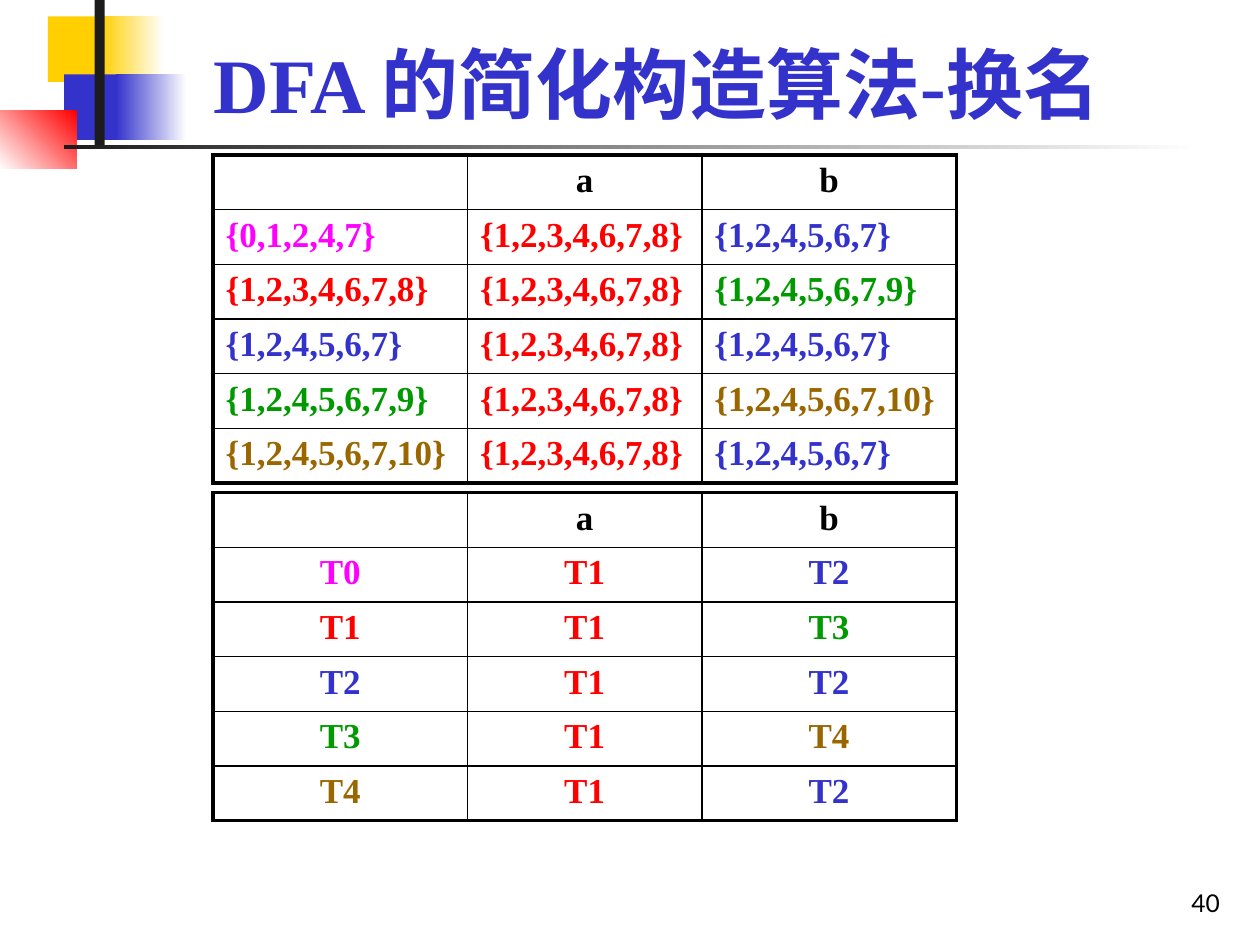
import pptx
import pptx.util
import pptx.dml.color
import pptx.enum.shapes
import pptx.enum.text
import pptx.oxml.ns
from lxml import etree

Inches = pptx.util.Inches
Pt = pptx.util.Pt
RGBColor = pptx.dml.color.RGBColor
Align = pptx.enum.text.PP_ALIGN
Anchor = pptx.enum.text.MSO_ANCHOR
qn = pptx.oxml.ns.qn

BLACK = RGBColor(0, 0, 0)
WHITE = RGBColor(0xFF, 0xFF, 0xFF)
INK = RGBColor(0x1C, 0x1C, 0x1C)
GOLD = RGBColor(0xFF, 0xCF, 0x01)
BLUE = RGBColor(0x33, 0x33, 0xCC)
RED = RGBColor(0xFF, 0, 0)
PINK = RGBColor(0xFF, 0, 0xFF)
GREEN = RGBColor(0, 0x99, 0)
BROWN = RGBColor(0x99, 0x66, 0)

TITLE = "DFA 的简化构造算法-换名"
PAGE = "40"
SERIF = "Times New Roman"

# Each state: new name, set of NFA states, colour
STATES = [
    ("T0", "{0,1,2,4,7}", PINK),
    ("T1", "{1,2,3,4,6,7,8}", RED),
    ("T2", "{1,2,4,5,6,7}", BLUE),
    ("T3", "{1,2,4,5,6,7,9}", GREEN),
    ("T4", "{1,2,4,5,6,7,10}", BROWN),
]
INPUTS = ["", "a", "b"]
# Each row: state, next state on a, next state on b
MOVES = [(0, 1, 2), (1, 1, 3), (2, 1, 2), (3, 1, 4), (4, 1, 2)]

# Each bar: left, top, width, height, colours, angle
BARS = [
    (0.38, 0.13, 0.67, 0.52, [GOLD], 0),
    (0.8, 0.13, 0.5, 0.52, [GOLD, WHITE], 0),
    (0.51, 0.59, 0.64, 0.52, [BLUE], 0),
    (0.92, 0.59, 0.56, 0.52, [BLUE, WHITE], 0),
    (0, 0.88, 0.61, 0.46, [WHITE, RED], 45),
    (0.75, 0, 0.08, 1.15, [INK], 0),
    (0.51, 1.15, 9, 0.03, [INK, WHITE], 0),
]

# Each table: top, which part of a state it shows, alignment
GRIDS = [(3.91, 0, Align.CENTER), (1.23, 1, Align.LEFT)]
LEFT = 1.69
COLS = [2.02, 1.86, 2.02]
ROW = 0.43
THIN, THICK = 1, 2.25


def put_text(frame, text, size=20, font=SERIF, color=BLACK, bold=True, align=Align.CENTER):
    para = frame.paragraphs[0]
    para.alignment = align
    run = para.add_run()
    run.text = text
    run.font.size = Pt(size)
    run.font.name = font
    run.font.bold = bold
    run.font.color.rgb = color


def add_box(slide, place, text, **style):
    box = slide.shapes.add_textbox(*map(Inches, place))
    box.text_frame.word_wrap = True
    box.text_frame.vertical_anchor = Anchor.BOTTOM
    put_text(box.text_frame, text, **style)


def add_bar(slide, place, colors, angle):
    bar = slide.shapes.add_shape(pptx.enum.shapes.MSO_SHAPE.RECTANGLE, *map(Inches, place))
    bar.shadow.inherit = False
    bar.line.fill.background()
    if len(colors) == 1:
        bar.fill.solid()
        bar.fill.fore_color.rgb = colors[0]
        return
    bar.fill.gradient()
    bar.fill.gradient_angle = angle
    for stop, color in zip(bar.fill.gradient_stops, colors):
        stop.color.rgb = color


def set_edge(cell, side, width):
    props = cell._tc.get_or_add_tcPr()
    line = etree.SubElement(props, qn("a:ln" + side), w=str(Pt(width)))
    fill = etree.SubElement(line, qn("a:solidFill"))
    etree.SubElement(fill, qn("a:srgbClr"), val=str(BLACK))


def add_grid(slide, top, part, align):
    rows = [[(text, BLACK, Align.CENTER) for text in INPUTS]]
    for move in MOVES:
        rows.append([(STATES[i][part], STATES[i][2], align) for i in move])
    high, wide = len(rows), len(COLS)
    table = slide.shapes.add_table(
        high, wide, Inches(LEFT), Inches(top), Inches(sum(COLS)), Inches(ROW * high)
    ).table
    table.first_row = table.horz_banding = False
    for col, width in zip(table.columns, COLS):
        col.width = Inches(width)
    for r, row in enumerate(rows):
        table.rows[r].height = Inches(ROW)
        for c, (text, color, side) in enumerate(row):
            cell = table.cell(r, c)
            outer = {"L": c == 0, "R": c == wide - 1, "T": r == 0, "B": r == high - 1}
            for edge, rim in outer.items():
                set_edge(cell, edge, THICK if rim else THIN)
            cell.fill.background()
            if text:
                put_text(cell.text_frame, text, color=color, align=side)


def main():
    deck = pptx.Presentation()
    deck.slide_width, deck.slide_height = Inches(10), Inches(7.5)
    slide = deck.slides.add_slide(deck.slide_layouts[6])
    for *place, colors, angle in BARS:
        add_bar(slide, place, colors, angle)
    add_box(slide, (7.7, 6.83, 2.08, 0.5), PAGE,
            size=14, font="Lato", bold=False, align=Align.RIGHT)
    add_box(slide, (1.26, 0.23, 7.91, 0.84), TITLE, size=44, color=BLUE)
    for grid in GRIDS:
        add_grid(slide, *grid)
    deck.save("out.pptx")


if __name__ == "__main__":
    main()
